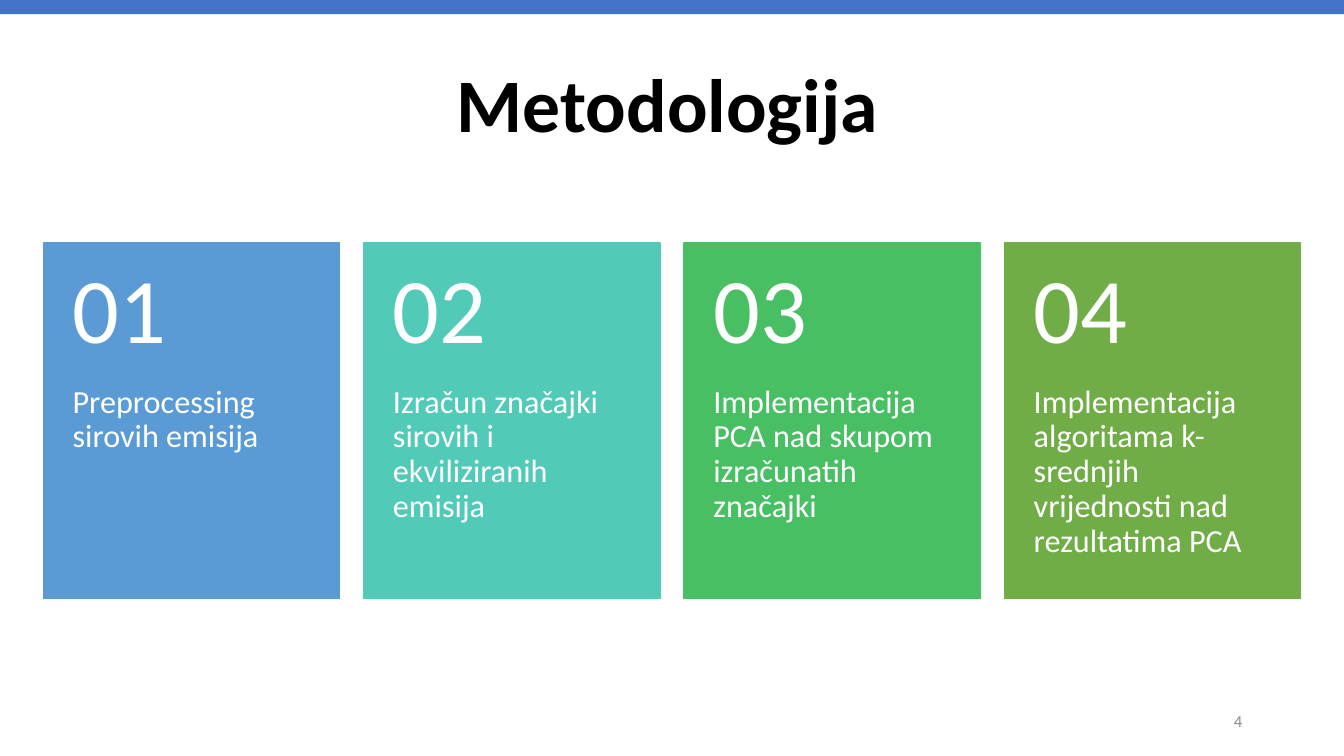
from pptx import Presentation
from pptx.dml.color import RGBColor
from pptx.enum import shapes, text
from pptx.util import Inches, Pt

BLACK = RGBColor(0x00, 0x00, 0x00)
WHITE = RGBColor(0xFF, 0xFF, 0xFF)
GRAY = RGBColor(0x8C, 0x8C, 0x8C)
BAR_BLUE = RGBColor(0x44, 0x72, 0xC4)
BLUE = RGBColor(0x5B, 0x9B, 0xD5)
TEAL = RGBColor(0x52, 0xCA, 0xB8)
GREEN = RGBColor(0x49, 0xBF, 0x64)
OLIVE = RGBColor(0x70, 0xAD, 0x47)

FONT = "Calibri"
SLIDE_W, SLIDE_H = 13.33, 7.5
STEPS = [
    ("Preprocessing sirovih emisija", BLUE),
    ("Izračun značajki sirovih i ekviliziranih emisija", TEAL),
    ("Implementacija PCA nad skupom izračunatih značajki", GREEN),
    ("Implementacija algoritama k-srednjih vrijednosti nad rezultatima PCA", OLIVE),
]


def add_text(s, box, content, size, color, bold=False, align=text.PP_ALIGN.LEFT,
             anchor=text.MSO_ANCHOR.MIDDLE, insets=(0.1, 0.05, 0.1, 0.05), spacing=0.9):
    tf = s.shapes.add_textbox(*map(Inches, box)).text_frame
    tf.word_wrap = True
    tf.vertical_anchor = anchor
    tf.margin_left, tf.margin_top, tf.margin_right, tf.margin_bottom = map(Inches, insets)
    p = tf.paragraphs[0]
    p.alignment = align
    p.line_spacing = spacing
    r = p.add_run()
    r.text = content
    r.font.name = FONT
    r.font.size = Pt(size)
    r.font.bold = bold
    r.font.color.rgb = color


def add_rect(s, box, color, outlined=False):
    sp = s.shapes.add_shape(shapes.MSO_SHAPE.RECTANGLE, *map(Inches, box))
    sp.shadow.inherit = False
    sp.fill.solid()
    sp.fill.fore_color.rgb = color
    if outlined:
        sp.line.color.rgb = color
        sp.line.width = Pt(1)
    else:
        sp.line.fill.background()


def add_header(s, box):
    x, y, w, h = box
    add_rect(s, (x, y, w, 0.14), BAR_BLUE)
    add_text(s, (x + 0.38, y + 0.35, 12.48, h - 0.35), "Metodologija", 54, BLACK,
             bold=True, align=text.PP_ALIGN.CENTER)


def add_card(s, box, number, label, color):
    x, y, w, h = box
    number_h = 0.4 * h
    add_rect(s, box, color, outlined=True)
    add_text(s, (x, y + number_h, w, h - number_h), label, 23, WHITE,
             anchor=text.MSO_ANCHOR.TOP, insets=(0.29, 0, 0.29, 0.36))
    add_text(s, (x, y, w, number_h), f"{number:02d}", 66, WHITE,
             insets=(0.29, 0.18, 0.29, 0.18))


def add_cards(s, box, gap=0.24):
    x, y, w, h = box
    card_w = (w - gap * (len(STEPS) - 1)) / len(STEPS)
    for i, (label, color) in enumerate(STEPS):
        add_card(s, (x + i * (card_w + gap), y, card_w, h), i + 1, label, color)


def add_page_number(s, box):
    add_text(s, box, "4", 12, GRAY, align=text.PP_ALIGN.RIGHT, spacing=1.0)


def main():
    prs = Presentation()
    prs.slide_width, prs.slide_height = Inches(SLIDE_W), Inches(SLIDE_H)
    s = prs.slides.add_slide(prs.slide_layouts[6])
    add_header(s, (0, 0, SLIDE_W, 1.8))
    add_cards(s, (0.43, 2.41, 12.47, 3.53))
    add_page_number(s, (9.42, 6.95, 3, 0.4))
    prs.save("out.pptx")


if __name__ == "__main__":
    main()
